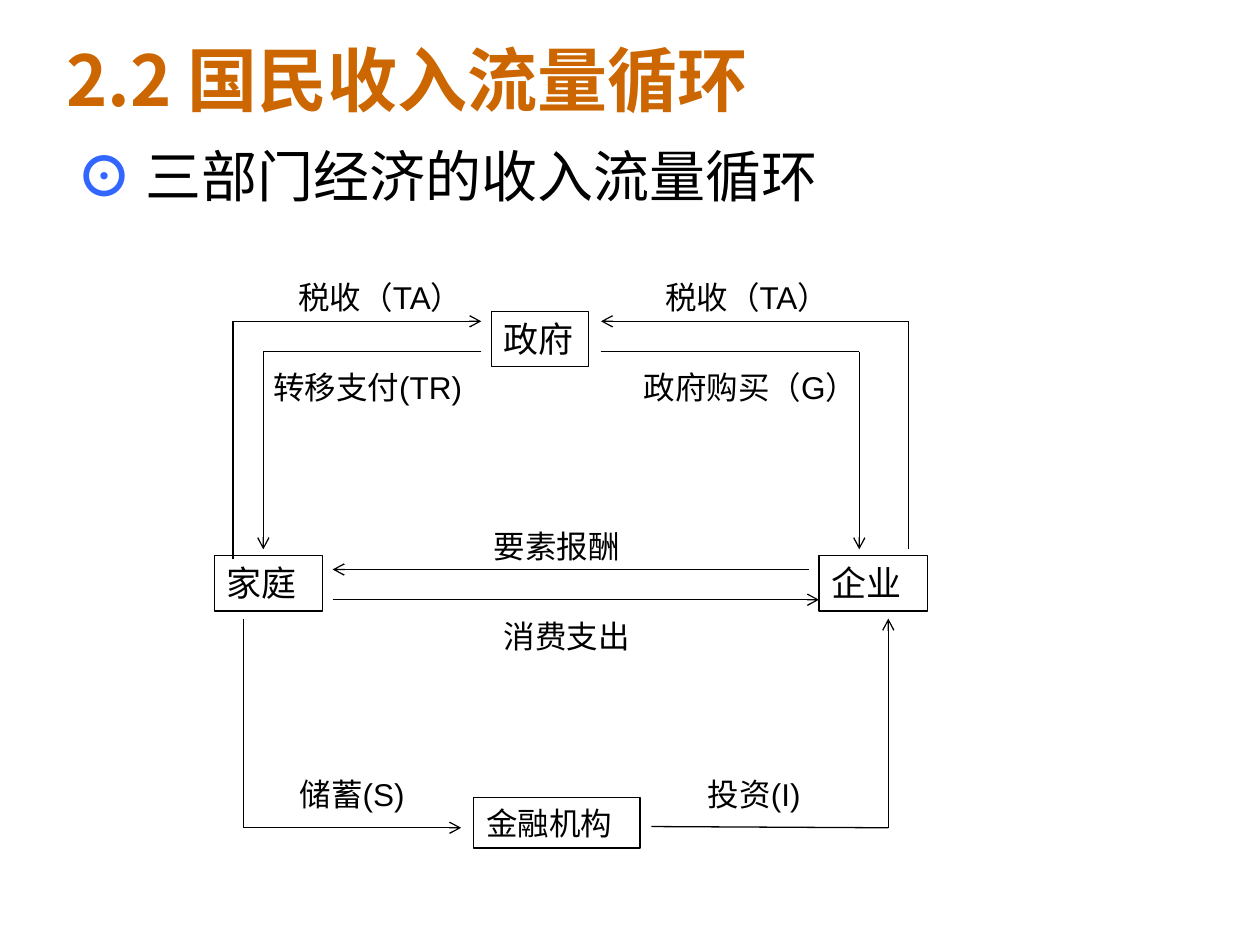
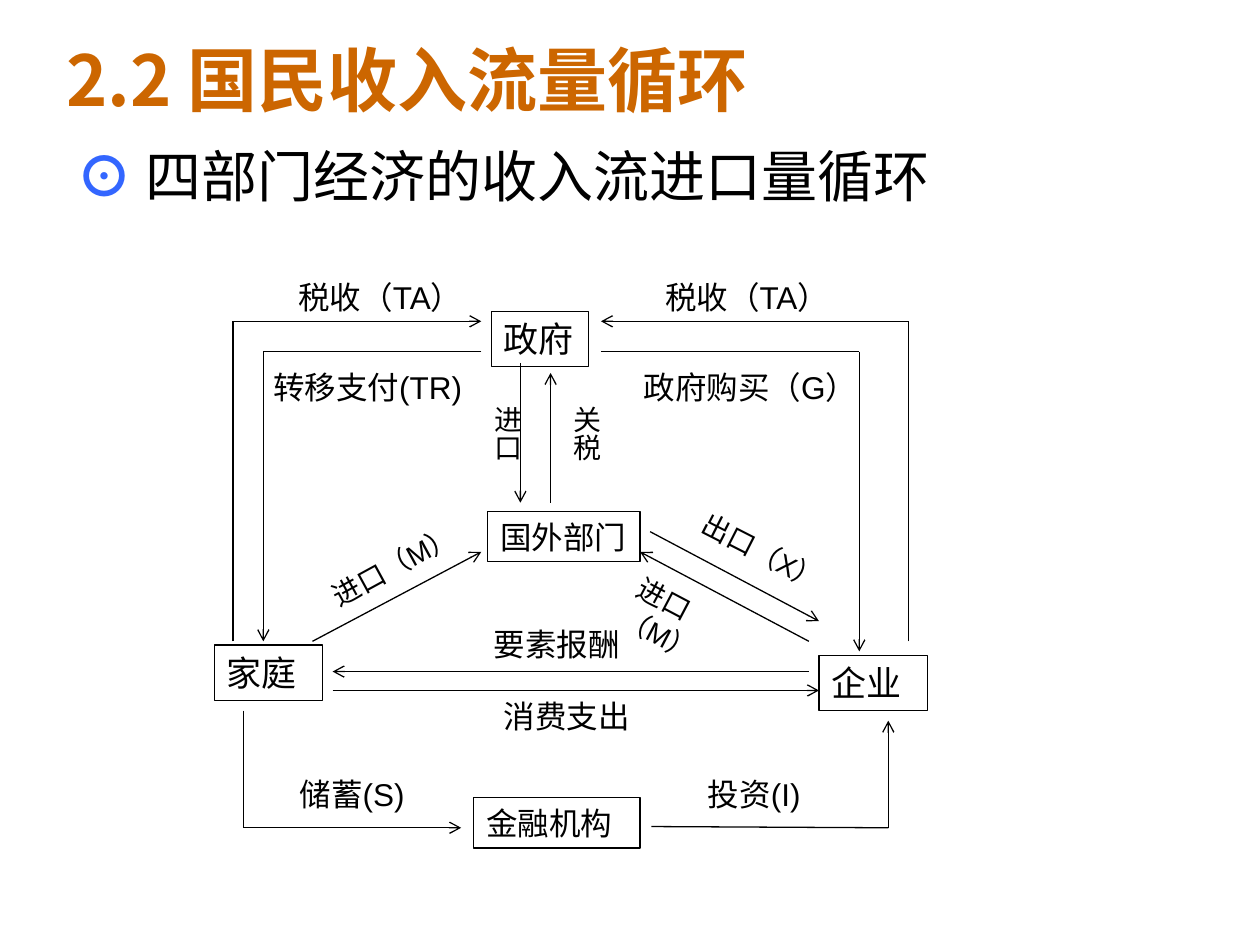
import dataclasses

import lxml.etree
import pptx
import pptx.dml.color
import pptx.enum.shapes
import pptx.enum.text
import pptx.oxml.ns
import pptx.util

Inches = pptx.util.Inches
Pt = pptx.util.Pt
Color = pptx.dml.color.RGBColor
qn = pptx.oxml.ns.qn
MSO_ANCHOR = pptx.enum.text.MSO_ANCHOR
MSO_AUTO_SIZE = pptx.enum.text.MSO_AUTO_SIZE
PP_ALIGN = pptx.enum.text.PP_ALIGN


@dataclasses.dataclass(frozen=True)
class Theme:
    title_color: Color = Color(0xCC, 0x66, 0x00)
    bullet_color: Color = Color(0x33, 0x66, 0xFF)
    ink: Color = Color(0, 0, 0)
    heading_font: str = "Noto Sans CJK SC"
    label_font: str = "Arial"
    title_size: int = 40
    body_size: int = 32
    sector_size: int = 20
    label_size: int = 18
    small_size: int = 16
    line_width: float = 0.75


theme = Theme()


def add_run(paragraph, text, size, color, font, bold=False):
    run = paragraph.add_run()
    run.text = text
    run.font.size = Pt(size)
    run.font.color.rgb = color
    run.font.name = font
    run.font.bold = bold
    east_asian = lxml.etree.Element(qn("a:ea"), typeface=theme.heading_font)
    run.font._element.find(qn("a:latin")).addnext(east_asian)


def add_label(slide, text, place, size, boxed=False, wrap=False, rotation=0, vertical=False):
    """Add a text label, with an outline when it names a sector."""
    position = [Inches(length) for length in place]
    if boxed:
        shape = slide.shapes.add_shape(pptx.enum.shapes.MSO_SHAPE.RECTANGLE, *position)
        shape.shadow.inherit = False
        shape.fill.background()
        shape.line.color.rgb = theme.ink
        shape.line.width = Pt(theme.line_width)
    else:
        shape = slide.shapes.add_textbox(*position)
    shape.rotation = rotation
    frame = shape.text_frame
    frame.word_wrap = wrap
    frame.auto_size = MSO_AUTO_SIZE.SHAPE_TO_FIT_TEXT
    frame.vertical_anchor = MSO_ANCHOR.TOP
    if vertical:
        frame.margin_left = frame.margin_right = Inches(0.05)
        frame.margin_top = frame.margin_bottom = Inches(0.05)
        shape.element.txBody.find(qn("a:bodyPr")).set("vert", "eaVert")
    paragraph = frame.paragraphs[0]
    paragraph.alignment = PP_ALIGN.LEFT
    add_run(paragraph, text, size, theme.ink, theme.label_font)


# Heights that differ between the two diagrams; the rest of the layout is shared.
diagrams = [
    dict(
        heading="三部门经济的收入流量循环",
        household=4.41, firm=4.41,
        income_label=4.13, spending_label=4.85,
        income=4.52, spending=4.76,
        household_tax=4.44, transfer=4.36, firm_tax=4.36, purchase=4.36,
        saving=4.91, investment=4.91,
        foreign_sector=False,
    ),
    dict(
        heading="四部门经济的收入流进口量循环",
        household=5.12, firm=5.2,
        income_label=4.91, spending_label=5.48,
        income=5.33, spending=5.48,
        household_tax=5.09, transfer=5.09, firm_tax=5.09, purchase=5.17,
        saving=5.64, investment=5.72,
        foreign_sector=True,
    ),
]
tax_y, outlay_y, finance_y = 2.55, 2.79, 6.57
government_left, government_right = 3.82, 4.77

presentation = pptx.Presentation()
presentation.slide_width = Inches(10)
presentation.slide_height = Inches(7.5)

for diagram in diagrams:
    slide = presentation.slides.add_slide(presentation.slide_layouts[1])

    title = slide.shapes.title
    body = slide.placeholders[1]
    for placeholder, place, anchor in [
        (title, (0.43, 0, 9, 1.25), MSO_ANCHOR.MIDDLE),
        (body, (0.51, 1.07, 9, 4.95), MSO_ANCHOR.TOP),
    ]:
        placeholder.left, placeholder.top, placeholder.width, placeholder.height = map(Inches, place)
        placeholder.text_frame.auto_size = MSO_AUTO_SIZE.NONE
        placeholder.text_frame.vertical_anchor = anchor
        paragraph = placeholder.text_frame.paragraphs[0]
        paragraph.alignment = PP_ALIGN.LEFT
        paragraph.space_before = Pt(0)
    add_run(title.text_frame.paragraphs[0], "2.2 国民收入流量循环",
            theme.title_size, theme.title_color, theme.heading_font, bold=True)

    heading = body.text_frame.paragraphs[0]
    properties = heading._p.get_or_add_pPr()
    properties.set("marL", str(Inches(0.38)))
    properties.set("indent", str(Inches(-0.38)))
    lxml.etree.SubElement(properties, qn("a:buNone"))
    add_run(heading, "⊙ ", theme.body_size, theme.bullet_color, theme.heading_font, bold=True)
    add_run(heading, diagram["heading"], theme.body_size, theme.ink, theme.heading_font)

    sectors = [
        ("家庭", (1.7, diagram["household"], 0.86, 0.44), theme.sector_size, True),
        ("企业", (6.5, diagram["firm"], 0.86, 0.44), theme.sector_size, True),
        ("政府", (3.9, 2.47, 0.77, 0.44), theme.sector_size, False),
        ("金融机构", (3.76, 6.33, 1.32, 0.4), theme.label_size, True),
    ]
    flow_labels = [
        ("要素报酬", 3.82, diagram["income_label"], 1.21),
        ("消费支出", 3.9, diagram["spending_label"], 1.21),
        ("储蓄(S)", 2.28, 6.1, 1.1),
        ("投资(I)", 5.52, 6.1, 1.02),
        ("税收（TA）", 2.27, 2.16, 1.65),
        ("税收（TA）", 5.18, 2.16, 1.65),
        ("转移支付(TR)", 2.07, 2.87, 1.77),
        ("政府购买（G）", 5.01, 2.87, 2.04),
    ]
    # Each flow is a route of corner points with an arrowhead at its end.
    flows = [
        [(1.93, diagram["saving"]), (1.93, finance_y), (3.66, finance_y)],
        [(5.17, 6.56), (7.05, finance_y), (7.05, diagram["investment"])],
        [(2.64, diagram["spending"]), (6.5, diagram["spending"])],
        [(6.42, diagram["income"]), (2.64, diagram["income"])],
        [(1.85, diagram["household_tax"]), (1.85, tax_y), (government_left, tax_y)],
        [(government_left, outlay_y), (2.09, outlay_y), (2.09, diagram["transfer"])],
        [(7.21, diagram["firm_tax"]), (7.21, tax_y), (government_right, tax_y)],
        [(government_right, outlay_y), (6.82, outlay_y), (6.82, diagram["purchase"])],
    ]

    if diagram["foreign_sector"]:
        sectors.append(("国外部门", (3.87, 4.06, 1.21, 0.4), theme.label_size, False))
        flows += [
            [(6.42, 5.09), (5.08, 4.38)],
            [(5.16, 4.22), (6.5, 4.93)],
            [(2.48, 5.09), (3.82, 4.38)],
            [(4.13, 2.88), (4.13, 3.99)],
            [(4.37, 3.99), (4.37, 2.96)],
        ]
        for text, place, rotation, wrap in [
            ("出口（X）", (5.43, 4.22, 1.34, 0.37), 27, False),
            ("进口（M）", (4.86, 4.68, 1.18, 0.64), 27.8, True),
            ("进口（M）", (2.55, 4.27, 1.34, 0.64), 331.4, True),
        ]:
            add_label(slide, text, place, theme.small_size, wrap=wrap, rotation=rotation)
        for text, left in [("进口", 3.75), ("关税", 4.38)]:
            add_label(slide, text, (left, 3.12, 0.46, 0.55), theme.small_size, vertical=True)

    for text, place, size, wrap in sectors:
        add_label(slide, text, place, size, boxed=True, wrap=wrap)
    for text, left, top, width in flow_labels:
        add_label(slide, text, (left, top, width, 0.4), theme.label_size)

    for route in flows:
        for start, end in zip(route, route[1:]):
            connector = slide.shapes.add_connector(
                pptx.enum.shapes.MSO_CONNECTOR.STRAIGHT, *map(Inches, start + end))
            connector.line.color.rgb = theme.ink
            connector.line.width = Pt(theme.line_width)
            if end == route[-1]:
                lxml.etree.SubElement(connector.line._get_or_add_ln(), qn("a:tailEnd"), type="arrow")
            lxml.etree.SubElement(connector.element.spPr, qn("a:effectLst"))

presentation.save("out.pptx")
